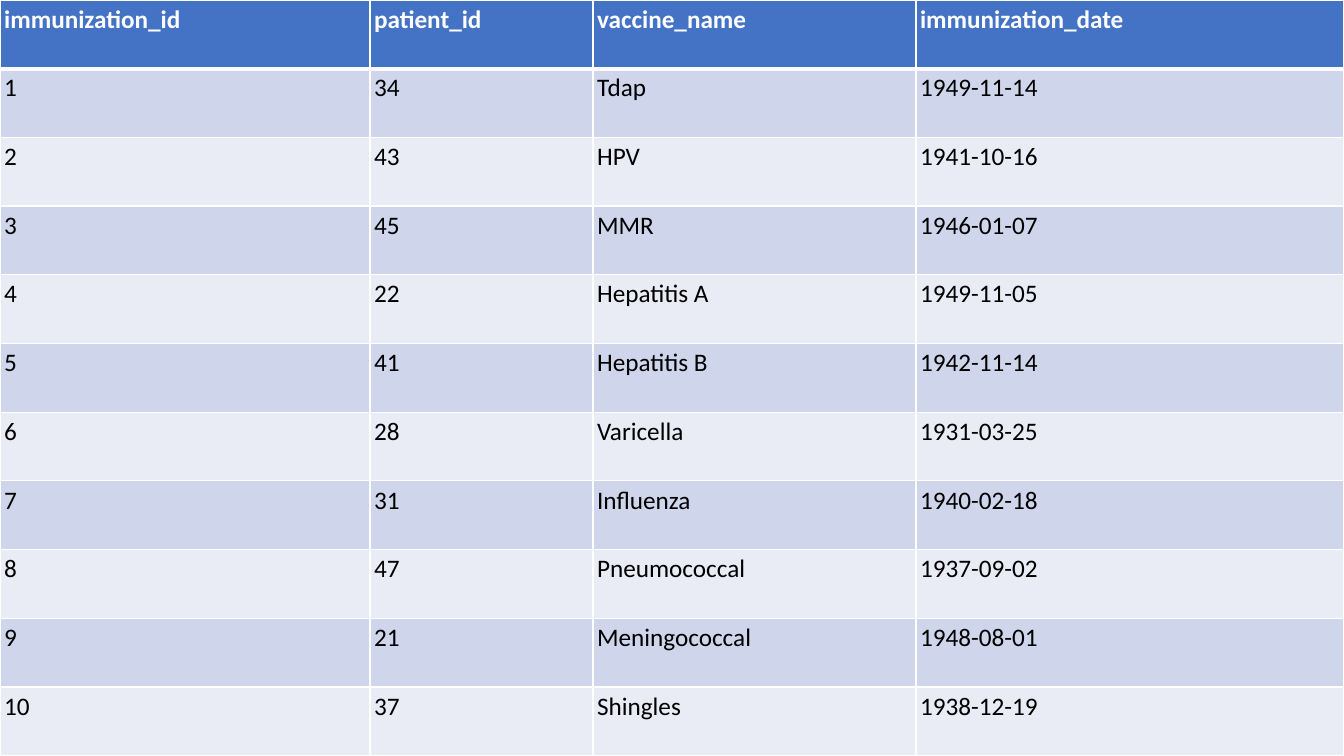
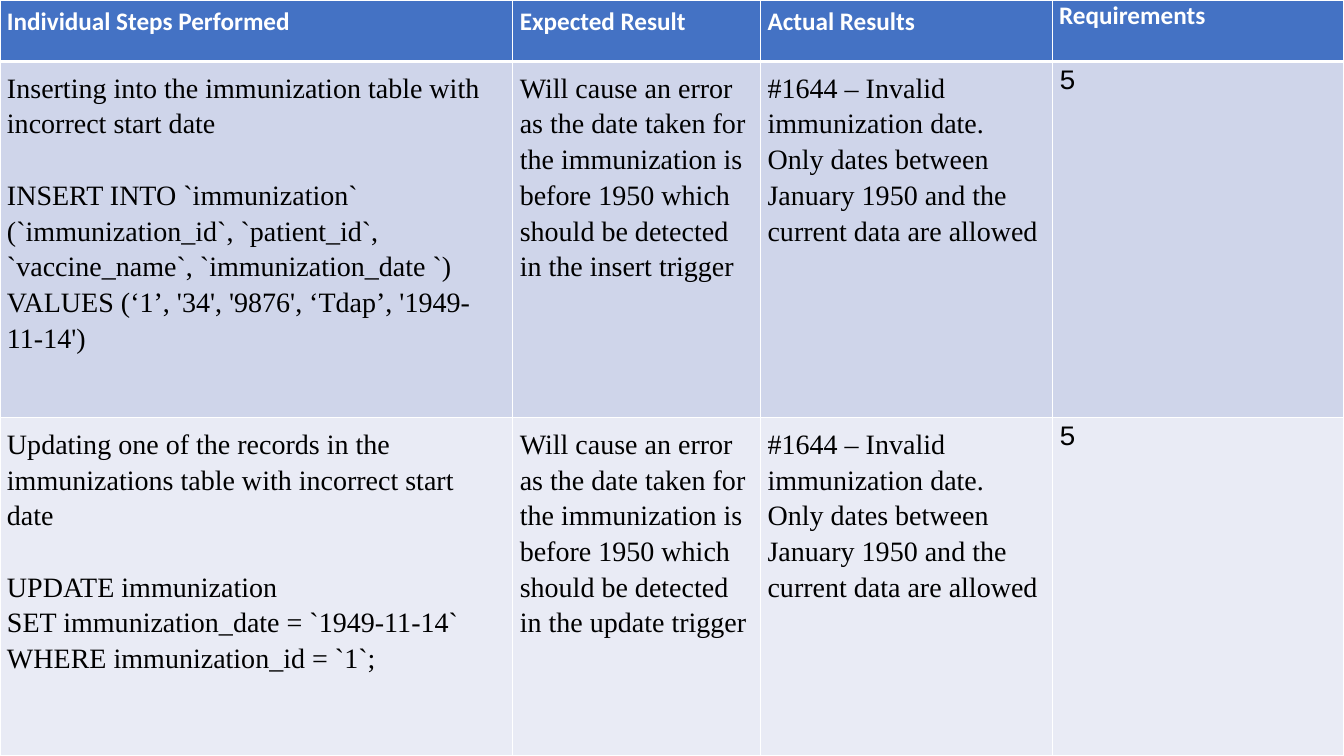
import pptx
import pptx.dml.color
import pptx.oxml
import pptx.oxml.ns
import pptx.util

Pt = pptx.util.Pt

WIDTH, HEIGHT = 960, 540
BLUE, WHITE, BLACK = "4472C4", "FFFFFF", "000000"
BANDS = ("CFD5EA", "E9EBF5")
HEADER = {"name": "Calibri", "size": Pt(18), "bold": True}
RECORD = {"name": "Calibri", "size": Pt(18), "bold": False}
STEP = {"name": "Times New Roman", "size": Pt(20), "bold": False}
NUMBER = {**STEP, "name": "Courier New"}


def color(hex_string):
    return pptx.dml.color.RGBColor.from_string(hex_string)


class Deck:
    """Holds the table style, the presentation and the current slide."""

    def __init__(self):
        self.presentation = pptx.Presentation()
        self.presentation.slide_width = Pt(WIDTH)
        self.presentation.slide_height = Pt(HEIGHT)
        self.slide = None

    def new_slide(self, background):
        layout = self.presentation.slide_layouts[6]
        self.slide = self.presentation.slides.add_slide(layout)
        fill = self.slide.background.fill
        fill.solid()
        fill.fore_color.rgb = color(background)

    def borders(self, cell, widths):
        """Draw white borders; widths maps L, R, T, B to points."""
        properties = cell._tc.get_or_add_tcPr()
        for side, width in widths.items():
            properties.append(pptx.oxml.parse_xml(
                f'<a:ln{side} {pptx.oxml.ns.nsdecls("a")} w="{Pt(width)}">'
                f'<a:solidFill><a:srgbClr val="{WHITE}"/></a:solidFill>'
                f'</a:ln{side}>'))

    def cell_text(self, cell, paragraphs, style, text_color, line_spacing, gap):
        """Fill a cell; the second paragraph stands off by the gap."""
        frame = cell.text_frame
        for index, text in enumerate(paragraphs):
            paragraph = frame.add_paragraph() if index else frame.paragraphs[0]
            paragraph.text = text
            paragraph.line_spacing = line_spacing
            if index == 1:
                paragraph.space_before = Pt(gap)
            for run in paragraph.runs:
                for name, value in style.items():
                    setattr(run.font, name, value)
                run.font.color.rgb = color(text_color)

    def table(self, rows, column_widths, row_heights, column_styles, inset,
              flush_columns=(), line_spacing=1.0, gap=0):
        """Add a full-slide banded table; flush columns have no top inset."""
        frame = self.slide.shapes.add_table(
            len(rows), len(column_widths), 0, 0, Pt(WIDTH), Pt(HEIGHT))
        table = frame.table
        for column, width in zip(table.columns, column_widths):
            column.width = Pt(width)
        for row, height in zip(table.rows, row_heights):
            row.height = Pt(height)
        for i, row in enumerate(rows):
            is_header = i == 0
            for j, content in enumerate(row):
                cell = table.cell(i, j)
                vertical = 0 if j in flush_columns else inset
                margins = {"margin_left": inset, "margin_right": inset,
                           "margin_top": vertical, "margin_bottom": vertical}
                for name, value in margins.items():
                    setattr(cell, name, Pt(value))
                self.borders(cell, {"L": 1, "R": 1, "T": 3 if i == 1 else 1,
                                    "B": 3 if is_header else 1})
                cell.fill.solid()
                cell.fill.fore_color.rgb = color(
                    BLUE if is_header else BANDS[(i - 1) % 2])
                paragraphs = [content] if isinstance(content, str) else content
                self.cell_text(cell, paragraphs,
                               HEADER if is_header else column_styles[j],
                               WHITE if is_header else BLACK,
                               1.0 if is_header else line_spacing, gap)


def immunization_records(deck):
    records = [
        ("immunization_id", "patient_id", "vaccine_name", "immunization_date"),
        ("1", "34", "Tdap", "1949-11-14"),
        ("2", "43", "HPV", "1941-10-16"),
        ("3", "45", "MMR", "1946-01-07"),
        ("4", "22", "Hepatitis A", "1949-11-05"),
        ("5", "41", "Hepatitis B", "1942-11-14"),
        ("6", "28", "Varicella", "1931-03-25"),
        ("7", "31", "Influenza", "1940-02-18"),
        ("8", "47", "Pneumococcal", "1937-09-02"),
        ("9", "21", "Meningococcal", "1948-08-01"),
        ("10", "37", "Shingles", "1938-12-19"),
    ]
    deck.new_slide(BLUE)
    deck.table(records, (264.3, 159.3, 230.7, 305.7),
               [HEIGHT / len(records)] * len(records), [RECORD] * 4, inset=3)


def trigger_tests(deck):
    expected = ("Will cause an error as the date taken for the immunization "
                "is before 1950 which should be detected in the {} trigger")
    actual = ("#1644 – Invalid immunization date. Only dates between "
              "January 1950 and the current data are allowed")
    insert_step = (
        "Inserting into the immunization table with incorrect start date",
        "INSERT INTO `immunization` (`immunization_id`, `patient_id`, "
        "`vaccine_name`, `immunization_date `) "
        "VALUES (‘1’, '34', '9876', ‘Tdap’, '1949-11-14')",
    )
    update_step = (
        "Updating one of the records in the immunizations table "
        "with incorrect start date",
        "UPDATE immunization",
        "SET immunization_date = `1949-11-14`\nWHERE immunization_id = `1`;",
    )
    tests = [
        ("Individual Steps Performed", "Expected Result", "Actual Results",
         "Requirements"),
        (insert_step, expected.format("insert"), actual, "5"),
        (update_step, expected.format("update"), actual, "5"),
    ]
    deck.new_slide(WHITE)
    deck.table(tests, (366.3, 177, 208.3, 208.4), (44, 254.4, 241.6),
               (STEP, STEP, STEP, NUMBER), inset=5, flush_columns=(3,),
               line_spacing=1.15, gap=25.5)


def main():
    deck = Deck()
    immunization_records(deck)
    trigger_tests(deck)
    deck.presentation.save("out.pptx")


if __name__ == "__main__":
    main()
